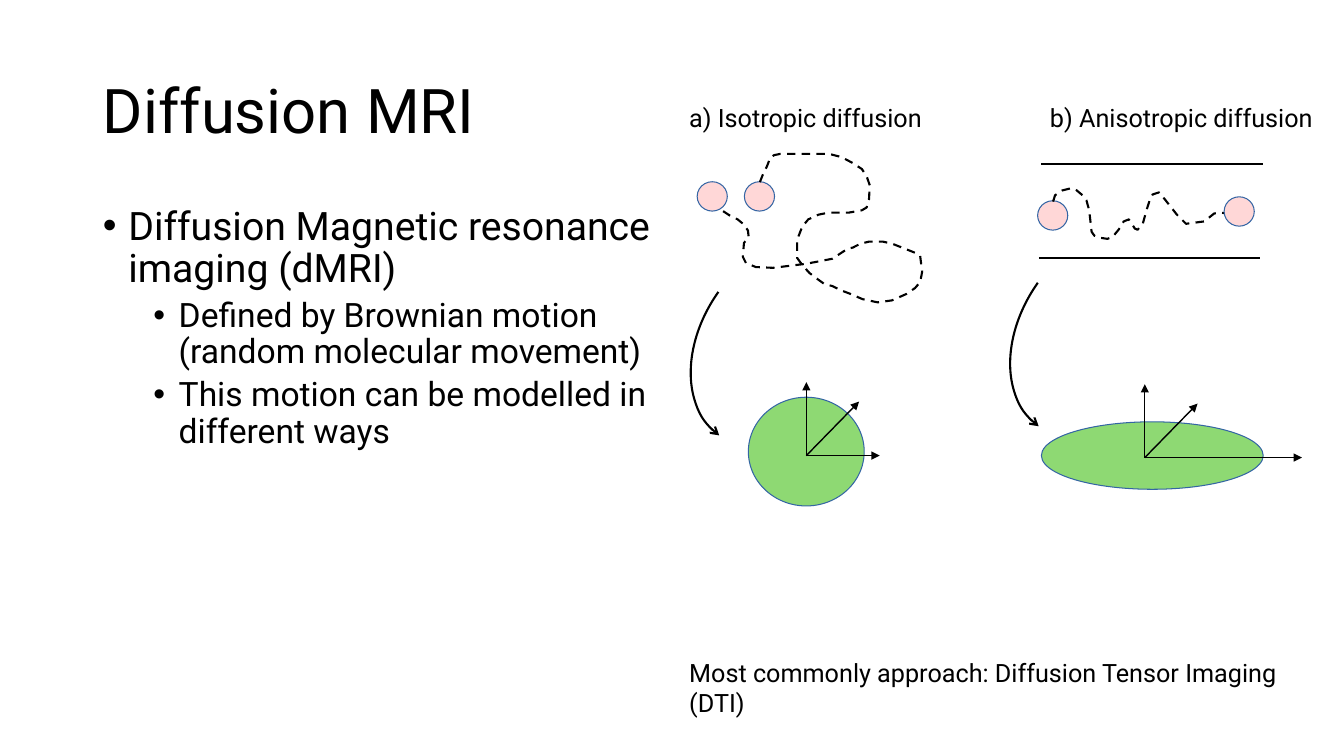
import dataclasses

import pptx
import pptx.dml.color
import pptx.enum.dml
import pptx.enum.shapes
import pptx.enum.text
import pptx.oxml
import pptx.oxml.ns
import pptx.util

Cm = pptx.util.Cm
Pt = pptx.util.Pt
Shapes = pptx.enum.shapes.MSO_SHAPE


@dataclasses.dataclass(frozen=True)
class Theme:
    font: str = "Roboto"
    ink: str = "000000"
    outline: str = "3465A4"
    particle: str = "FFD7D7"
    tensor: str = "8ED973"
    title_size: int = 44
    bullet_sizes: tuple = (28, 24)
    label_size: int = 18
    path_width: float = 1.5
    axis_width: float = 1


THEME = Theme()

ISOTROPIC = {
    "label": "a) Isotropic diffusion",
    "particles": ((2.02, 2.49), (0.83, 2.49)),
    "path": (
        (2.03, 2.13), (2.11, 1.93), (2.21, 1.73), (2.29, 1.52), (2.39, 1.45), (2.54, 1.42),
        (3.78, 1.42), (4.09, 1.5), (4.37, 1.65), (4.6, 1.8), (4.72, 1.98), (4.8, 2.21),
        (4.78, 2.57), (4.72, 2.77), (4.6, 2.84), (4.27, 2.9), (3.76, 2.9), (3.51, 2.95),
        (3.25, 3.07), (3.1, 3.25), (2.97, 3.58), (2.97, 4.04), (3.1, 4.22), (3.28, 4.42),
        (3.45, 4.55), (3.66, 4.7), (3.86, 4.75), (4.06, 4.85), (4.32, 4.95), (4.62, 5.08),
        (5, 5.16), (5.36, 5.11), (5.72, 4.95), (5.94, 4.8), (6.07, 4.65), (6.12, 4.39),
        (6.07, 3.99), (5.94, 3.91), (5.69, 3.81), (5.36, 3.68), (5.13, 3.63), (4.78, 3.63),
        (4.57, 3.68), (4.37, 3.78), (4.24, 3.81), (4.04, 3.94), (3.86, 4.06), (3.45, 4.14),
        (3.18, 4.19), (2.77, 4.24), (2.36, 4.29), (1.93, 4.27), (1.68, 4.17), (1.6, 4.01),
        (1.63, 3.66), (1.75, 3.53), (1.73, 3.35), (1.63, 3.2), (1.47, 3.07), (1.27, 2.97),
        (1.07, 2.84), (0.81, 2.72),
    ),
    "walls": (),
    "tensor": (3.2, 8.92, 2.92, 2.74),
    "axes_origin": (3.2, 9.02),
    "main_axis": 1.85,
    "arc": (-0.23, 4.01),
}

ANISOTROPIC = {
    "label": "b) Anisotropic diffusion",
    "particles": ((0.32, 2.97), (5.02, 2.87)),
    "path": (
        (0.33, 2.62), (0.38, 2.46), (0.56, 2.34), (0.76, 2.29), (0.89, 2.31), (1.07, 2.46),
        (1.17, 2.59), (1.24, 2.84), (1.3, 3.38), (1.37, 3.48), (1.5, 3.53), (1.7, 3.56),
        (1.83, 3.51), (1.98, 3.33), (2.11, 3.12), (2.24, 3.07), (2.39, 3.3), (2.46, 3.33),
        (2.59, 3.18), (2.69, 2.82), (2.77, 2.57), (2.84, 2.44), (3, 2.39), (3.15, 2.57),
        (3.45, 2.95), (3.68, 3.18), (4.14, 3.12), (4.39, 2.92), (4.52, 2.9), (4.75, 2.92),
    ),
    "walls": ((0.03, 1.68), (-0.03, 4.04)),
    "tensor": (2.83, 9.02, 5.59, 1.7),
    "axes_origin": (2.64, 9.07),
    "main_axis": 3.96,
    "arc": (-1.27, 3.78),
}


def place(shape, box):
    shape.left, shape.top, shape.width, shape.height = map(Cm, box)


def write_text(paragraph, text, size=THEME.label_size, spacing=None, before=None):
    run = paragraph.add_run()
    run.text = text
    run.font.name = THEME.font
    run.font.size = Pt(size)
    run.font.color.rgb = pptx.dml.color.RGBColor.from_string(THEME.ink)
    paragraph.alignment = pptx.enum.text.PP_ALIGN.LEFT
    if spacing:
        paragraph.line_spacing = spacing
    if before is not None:
        paragraph.space_before = Pt(before)


def add_element(parent, tag, **attributes):
    element = pptx.oxml.parse_xml(f"<{tag} {pptx.oxml.ns.nsdecls('a')}/>")
    for name, value in attributes.items():
        element.set(name, str(value))
    parent.append(element)


def style_line(line, width, color=THEME.ink, head=None):
    line.color.rgb = pptx.dml.color.RGBColor.from_string(color)
    line.width = Pt(width)
    if head:
        add_element(line._get_or_add_ln(), "a:tailEnd", type=head)


def add_line(slide, start, end, width, head=None):
    connector = slide.shapes.add_connector(
        pptx.enum.shapes.MSO_CONNECTOR.STRAIGHT, *map(Cm, start + end))
    style_line(connector.line, width, head=head)
    add_element(connector._element.spPr, "a:effectLst")


def add_ellipse(slide, center_x, center_y, width, height, color):
    box = (center_x - width / 2, center_y - height / 2, width, height)
    ellipse = slide.shapes.add_shape(Shapes.OVAL, *map(Cm, box))
    ellipse.shadow.inherit = False
    ellipse.fill.solid()
    ellipse.fill.fore_color.rgb = pptx.dml.color.RGBColor.from_string(color)
    style_line(ellipse.line, 0, THEME.outline)


def add_path(slide, points):
    start, *others = [(Cm(x), Cm(y)) for x, y in points]
    builder = slide.shapes.build_freeform(*start, scale=1.0)
    builder.add_line_segments(others, close=False)
    path = builder.convert_to_shape()
    path.shadow.inherit = False
    path.fill.background()
    style_line(path.line, THEME.path_width)
    path.line.dash_style = pptx.enum.dml.MSO_LINE.DASH


def add_arc_arrow(slide, left, top):
    arc = slide.shapes.add_shape(Shapes.ARC, *map(Cm, (left, top, 5.87, 4.22)))
    arc.shadow.inherit = False
    arc.fill.background()
    arc.rotation = 305.4
    arc._element.spPr.xfrm.set("flipH", "1")
    style_line(arc.line, THEME.path_width, head="arrow")


def add_label(slide, box, text):
    label = slide.shapes.add_textbox(*map(Cm, box))
    label.text_frame.word_wrap = True
    write_text(label.text_frame.paragraphs[0], text)


def add_title(slide, box, text):
    title = slide.shapes.title
    place(title, box)
    title.text_frame.vertical_anchor = pptx.enum.text.MSO_ANCHOR.MIDDLE
    write_text(title.text_frame.paragraphs[0], text, size=THEME.title_size, spacing=0.9)


def add_bullets(slide, box, items):
    body = slide.placeholders[1]
    place(body, box)
    frame = body.text_frame
    frame.auto_size = pptx.enum.text.MSO_AUTO_SIZE.NONE
    for index, (level, text) in enumerate(items):
        paragraph = frame.add_paragraph() if index else frame.paragraphs[0]
        paragraph.level = level
        write_text(paragraph, text, size=THEME.bullet_sizes[level],
                   spacing=0.9, before=(10, 5)[level])
        properties = paragraph._p.get_or_add_pPr()
        properties.set("marL", str(Cm((0.64, 1.91)[level])))
        properties.set("indent", str(Cm(-0.64)))
        add_element(properties, "a:buFont", typeface="Arial")
        add_element(properties, "a:buChar", char="•")


def add_diffusion_panel(slide, box, panel):
    left, top, width, height = box

    def at(point):
        return left + point[0], top + point[1]

    add_label(slide, box, panel["label"])
    first, last = panel["particles"]
    add_ellipse(slide, *at(first), 0.76, 0.74, THEME.particle)
    add_path(slide, [at(point) for point in panel["path"]])
    add_ellipse(slide, *at(last), 0.76, 0.74, THEME.particle)
    for x, y in panel["walls"]:
        add_line(slide, at((x, y)), at((x + 5.58, y)), THEME.path_width)
    add_ellipse(slide, *at(panel["tensor"]), *panel["tensor"][2:], THEME.tensor)
    x, y = panel["axes_origin"]
    for dx, dy in ((panel["main_axis"], 0), (1.33, -1.36), (0, -1.85)):
        add_line(slide, at((x, y)), at((x + dx, y + dy)), THEME.axis_width, "triangle")
    add_arc_arrow(slide, *at(panel["arc"]))


def main():
    presentation = pptx.Presentation()
    presentation.slide_width, presentation.slide_height = Cm(33.87), Cm(19.05)
    slide = presentation.slides.add_slide(presentation.slide_layouts[1])
    add_title(slide, (2.34, 1.02, 29.21, 3.68), "Diffusion MRI")
    add_bullets(slide, (2.34, 5.08, 15.7, 12.09), (
        (0, "Diffusion Magnetic resonance imaging (dMRI)"),
        (1, "Defined by Brownian motion (random molecular movement)"),
        (1, "This motion can be modelled in different ways"),
    ))
    add_diffusion_panel(slide, (17.12, 2.46, 7.85, 1.02), ISOTROPIC)
    add_diffusion_panel(slide, (26.21, 2.46, 7.85, 1.02), ANISOTROPIC)
    add_label(slide, (17.12, 16.43, 16.21, 1.02),
              "Most commonly approach: Diffusion Tensor Imaging (DTI)")
    presentation.save("out.pptx")


if __name__ == "__main__":
    main()
